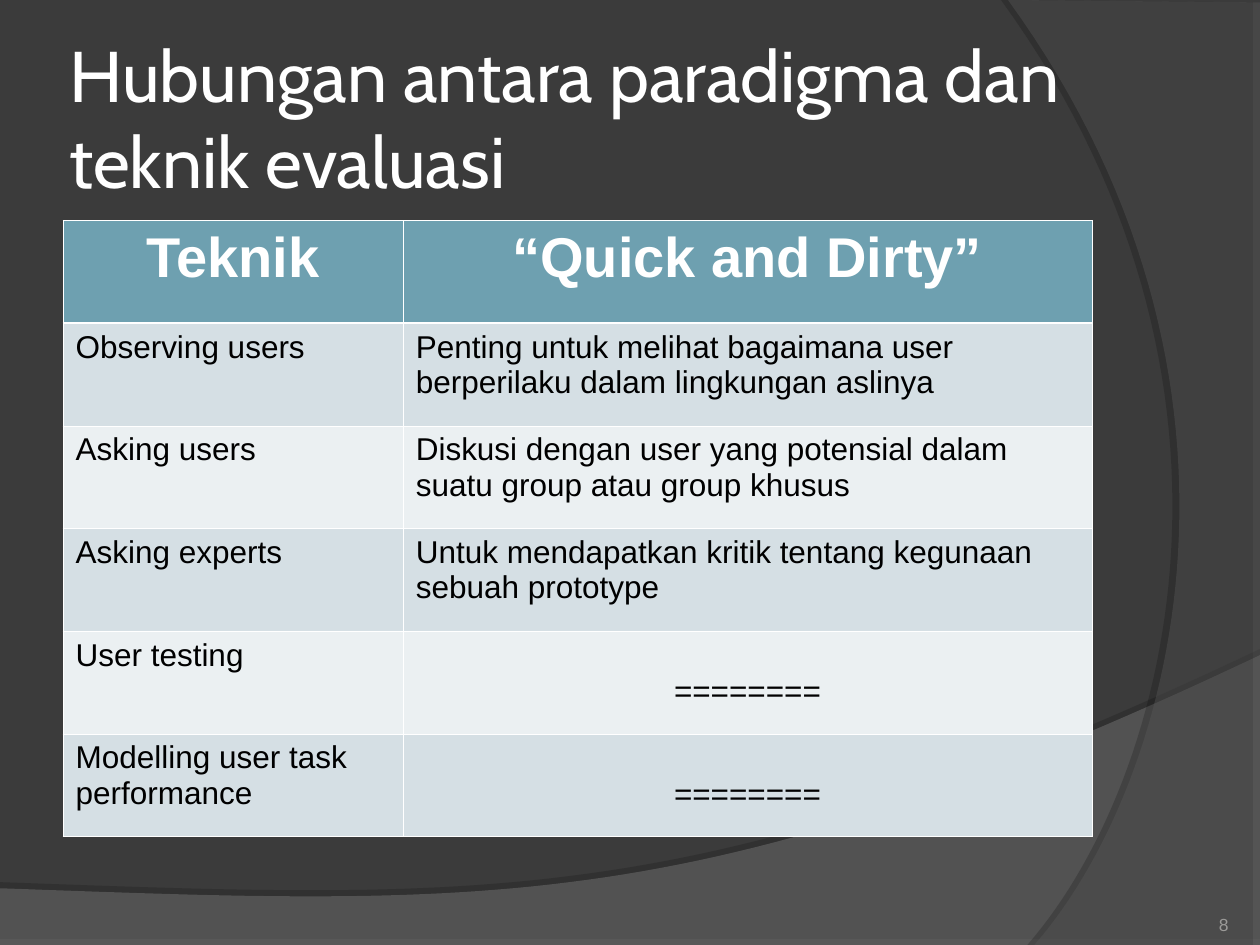
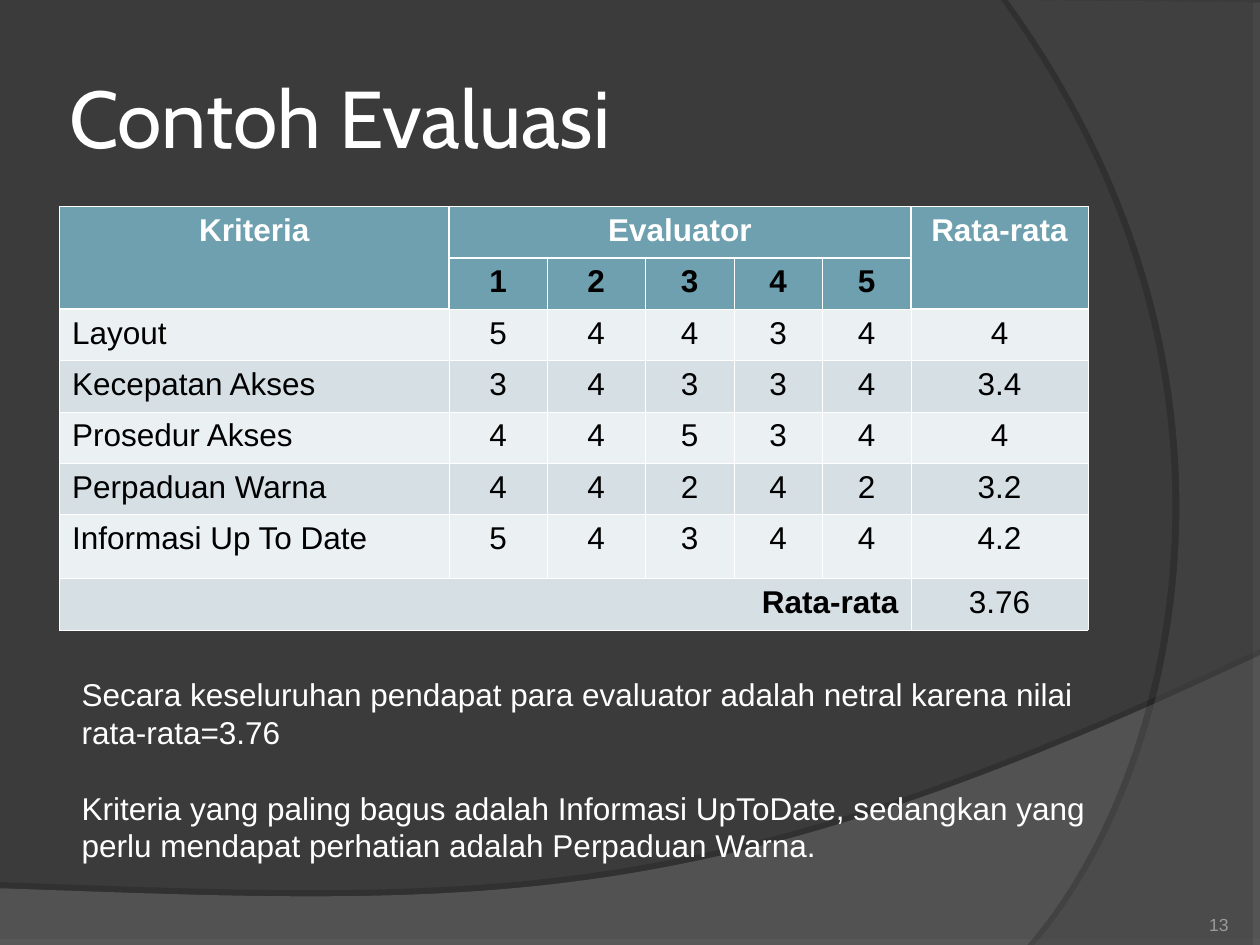
from dataclasses import dataclass, field
from typing import NamedTuple

from lxml.etree import SubElement as Sub
from pptx import Presentation
from pptx.dml.color import RGBColor as Rgb
from pptx.enum.text import MSO_ANCHOR as Anchor, PP_ALIGN as Align
from pptx.oxml.ns import qn
from pptx.util import Pt


@dataclass(frozen=True)
class Theme:
    back: str = "3B3B3B"
    swoop: str = "7C7C7C"
    arc: str = "595959"
    head: str = "6EA0B0"
    dark: str = "D5DFE4"
    light: str = "EBF0F2"
    white: str = "FFFFFF"
    black: str = "000000"
    grey: str = "9B9A98"
    title: str = "Cabin"
    body: str = "Arial"
    text: float = 18
    large: float = 32
    small: float = 10
    thin: float = 0.45
    thick: float = 1.47


THEME = Theme()


class Point(NamedTuple):
    x: float
    y: float


class Box(NamedTuple):
    left: float
    top: float
    width: float
    height: float


class Band(NamedTuple):
    color: str
    alpha: int
    line: tuple[Point, ...]
    curve: tuple[Point, Point, Point]
    shade: int
    dist: float
    angle: int


class Look(NamedTuple):
    align: Align
    bold: bool = False
    drop: float = 0


@dataclass
class Style:
    size: float
    color: str = THEME.white
    font: str = THEME.body
    bold: bool = False
    align: Align = Align.LEFT
    pitch: float | None = None


@dataclass
class Grid:
    left: float
    top: float
    cols: list[float]
    rows: list[float]
    cells: list[tuple[str, ...]]
    aligns: list[Align]
    heads: int = 1
    size: float = THEME.text
    spans: list[tuple[int, int, int, int]] = field(default_factory=list)
    looks: dict[tuple[int, int], Look] = field(default_factory=dict)
    flat: set[tuple[int, int]] = field(default_factory=set)
    tall: set[tuple[int, int]] = field(default_factory=set)


TITLE = Box(36, 21.6, 588, 90)
NOTE = Box(39.6, 382.3, 607.7, 115.2)
PAGE = Box(642.2, 505.4, 59.8, 28.8)
BANDS = (
    Band(THEME.swoop, 45,
         (Point(0, 507.6), Point(0, 540), Point(720, 540), Point(720, 374.4)),
         (Point(402.5, 524.9), Point(281.5, 517.7), Point(0, 507.6)),
         35, 3.5, 270),
    Band(THEME.arc, 40,
         (Point(720, 1.4), Point(720, 540), Point(591.1, 540)),
         (Point(673.2, 445.7), Point(733, 216), Point(576, 0)),
         45, 4, 180),
)


def bend(start: Point, curve: tuple[Point, Point, Point], steps: int = 60) -> list[Point]:
    a, b, c = curve
    dots = []
    for i in range(1, steps + 1):
        t = i / steps
        u = 1 - t
        dots.append(Point(*(
            u**3 * p + 3 * u * u * t * q + 3 * u * t * t * r + t**3 * s
            for p, q, r, s in zip(start, a, b, c)
        )))
    return dots


def draw_band(slide, band: Band) -> None:
    dots = [*band.line, *bend(band.line[-1], band.curve)]
    first, *rest = [(Pt(dot.x), Pt(dot.y)) for dot in dots]
    pen = slide.shapes.build_freeform(*first)
    pen.add_line_segments(rest)
    shape = pen.convert_to_shape()
    shape.fill.solid()
    shape.fill.fore_color.rgb = Rgb.from_string(band.color)
    shape.line.fill.background()
    shape.shadow.inherit = False
    props = shape._element.spPr
    tint = props.find(qn("a:solidFill")).find(qn("a:srgbClr"))
    Sub(tint, qn("a:alpha"), val=str(band.alpha * 1000))
    cast = Sub(props.find(qn("a:effectLst")), qn("a:outerShdw"),
               blurRad="0", dist=str(Pt(band.dist)), dir=str(band.angle * 60000),
               algn="ctr", rotWithShape="0")
    Sub(Sub(cast, qn("a:srgbClr"), val=THEME.black), qn("a:alpha"),
        val=str(band.shade * 1000))


def put_text(frame, lines: list[str], style: Style) -> None:
    for i, line in enumerate(lines):
        para = frame.paragraphs[0] if i == 0 else frame.add_paragraph()
        para.text = line
        para.alignment = style.align
        font = para.font
        font.name, font.size, font.bold = style.font, Pt(style.size), style.bold
        font.color.rgb = Rgb.from_string(style.color)
        if style.pitch:
            para.line_spacing = Pt(style.pitch)
            para.space_before = Pt(style.pitch if i else 0)


def add_text(slide, box: Box, lines: list[str], style: Style,
             anchor: Anchor, pad: tuple[float, float]) -> None:
    frame = slide.shapes.add_textbox(*map(Pt, box)).text_frame
    frame.word_wrap = True
    frame.vertical_anchor = anchor
    frame.margin_left = frame.margin_right = Pt(pad[0])
    frame.margin_top = frame.margin_bottom = Pt(pad[1])
    put_text(frame, lines, style)


def set_edge(cell, side: str, thick: bool) -> None:
    width = THEME.thick if thick else THEME.thin
    props = cell._tc.get_or_add_tcPr()
    line = Sub(props, qn(f"a:ln{side}"), w=str(Pt(width)))
    Sub(Sub(line, qn("a:solidFill")), qn("a:srgbClr"), val=THEME.white)


def draw_grid(slide, grid: Grid) -> None:
    area = Box(grid.left, grid.top, sum(grid.cols), sum(grid.rows))
    table = slide.shapes.add_table(
        len(grid.rows), len(grid.cols), *map(Pt, area)).table
    for col, width in zip(table.columns, grid.cols):
        col.width = Pt(width)
    for row, height in zip(table.rows, grid.rows):
        row.height = Pt(height)
    for r, c, last, end in grid.spans:
        table.cell(r, c).merge(table.cell(last, end))
    for r, words in enumerate(grid.cells):
        head = r < grid.heads
        fill = THEME.head if head else THEME.dark if r % 2 else THEME.light
        for c, word in enumerate(words):
            cell = table.cell(r, c)
            if cell.is_spanned:
                continue
            high, wide = (cell.span_height, cell.span_width) if cell.is_merge_origin else (1, 1)
            set_edge(cell, "L", (r, c) in grid.tall)
            set_edge(cell, "R", (r, c + wide) in grid.tall)
            set_edge(cell, "T", (r, c) in grid.flat)
            set_edge(cell, "B", (r + high, c) in grid.flat)
            cell.fill.solid()
            cell.fill.fore_color.rgb = Rgb.from_string(fill)
            base = Look(Align.CENTER, True) if head else Look(grid.aligns[c])
            look = grid.looks.get((r, c), base)
            cell.margin_left = cell.margin_right = Pt(7.2)
            cell.margin_top, cell.margin_bottom = Pt(3.6 + look.drop), Pt(3.6)
            put_text(cell.text_frame, [word], Style(
                grid.size if head else THEME.text,
                THEME.black if r else THEME.white,
                bold=look.bold, align=look.align))


def add_page(deck, title: str, size: float, number: int, grid: Grid):
    slide = deck.slides.add_slide(deck.slide_layouts[6])
    for band in BANDS:
        draw_band(slide, band)
    add_text(slide, TITLE, [title], Style(size, font=THEME.title),
             Anchor.MIDDLE, (3.6, 3.6))
    draw_grid(slide, grid)
    add_text(slide, PAGE, [str(number)],
             Style(THEME.small, THEME.grey, align=Align.RIGHT), Anchor.BOTTOM, (0, 0))
    return slide


def main() -> None:
    deck = Presentation()
    deck.slide_width, deck.slide_height = Pt(720), Pt(540)
    fill = deck.slide_master.background.fill
    fill.solid()
    fill.fore_color.rgb = Rgb.from_string(THEME.back)

    same = Look(Align.CENTER, drop=20.7)
    links = Grid(
        36, 126, [194.4, 393.6], [58.7] * 6,
        [
            ("Teknik", "“Quick and Dirty”"),
            ("Observing users",
             "Penting untuk melihat bagaimana user berperilaku dalam lingkungan aslinya"),
            ("Asking users",
             "Diskusi dengan user yang potensial dalam suatu group atau group khusus"),
            ("Asking experts",
             "Untuk mendapatkan kritik tentang kegunaan sebuah prototype"),
            ("User testing", "========"),
            ("Modelling user task performance", "========"),
        ],
        [Align.LEFT] * 2, size=THEME.large,
        looks={(4, 1): same, (5, 1): same},
        flat={(1, 0), (1, 1)},
    )
    add_page(deck, "Hubungan antara paradigma dan teknik evaluasi", 41, 8, links)

    scores = Grid(
        34, 118, [222.6, 56.1, 56.1, 50.6, 50.6, 50.6, 101.2],
        [29.35] * 6 + [36.6, 29.35],
        [
            ("Kriteria", "Evaluator", "", "", "", "", "Rata-rata"),
            ("", "1", "2", "3", "4", "5", ""),
            ("Layout", "5", "4", "4", "3", "4", "4"),
            ("Kecepatan Akses", "3", "4", "3", "3", "4", "3.4"),
            ("Prosedur Akses", "4", "4", "5", "3", "4", "4"),
            ("Perpaduan Warna", "4", "4", "2", "4", "2", "3.2"),
            ("Informasi Up To Date", "5", "4", "3", "4", "4", "4.2"),
            ("Rata-rata", "", "", "", "", "", "3.76"),
        ],
        [Align.LEFT] + [Align.CENTER] * 6, heads=2,
        spans=[(0, 0, 1, 0), (0, 1, 0, 5), (0, 6, 1, 6), (7, 0, 7, 5)],
        looks={(7, 0): Look(Align.RIGHT, True)},
        flat={(1, c) for c in range(1, 6)} | {(2, 0), (2, 6)},
        tall={(r, c) for r in (0, 1) for c in (1, 6)},
    )
    slide = add_page(deck, "Contoh Evaluasi", 46, 13, scores)
    add_text(slide, NOTE, [
        "Secara keseluruhan pendapat para evaluator adalah netral karena nilai rata-rata=3.76",
        "Kriteria yang paling bagus adalah Informasi UpToDate, sedangkan yang perlu "
        "mendapat perhatian adalah Perpaduan Warna.",
    ], Style(THEME.text, pitch=21.6), Anchor.TOP, (7.2, 3.6))
    deck.save("out.pptx")


if __name__ == "__main__":
    main()
